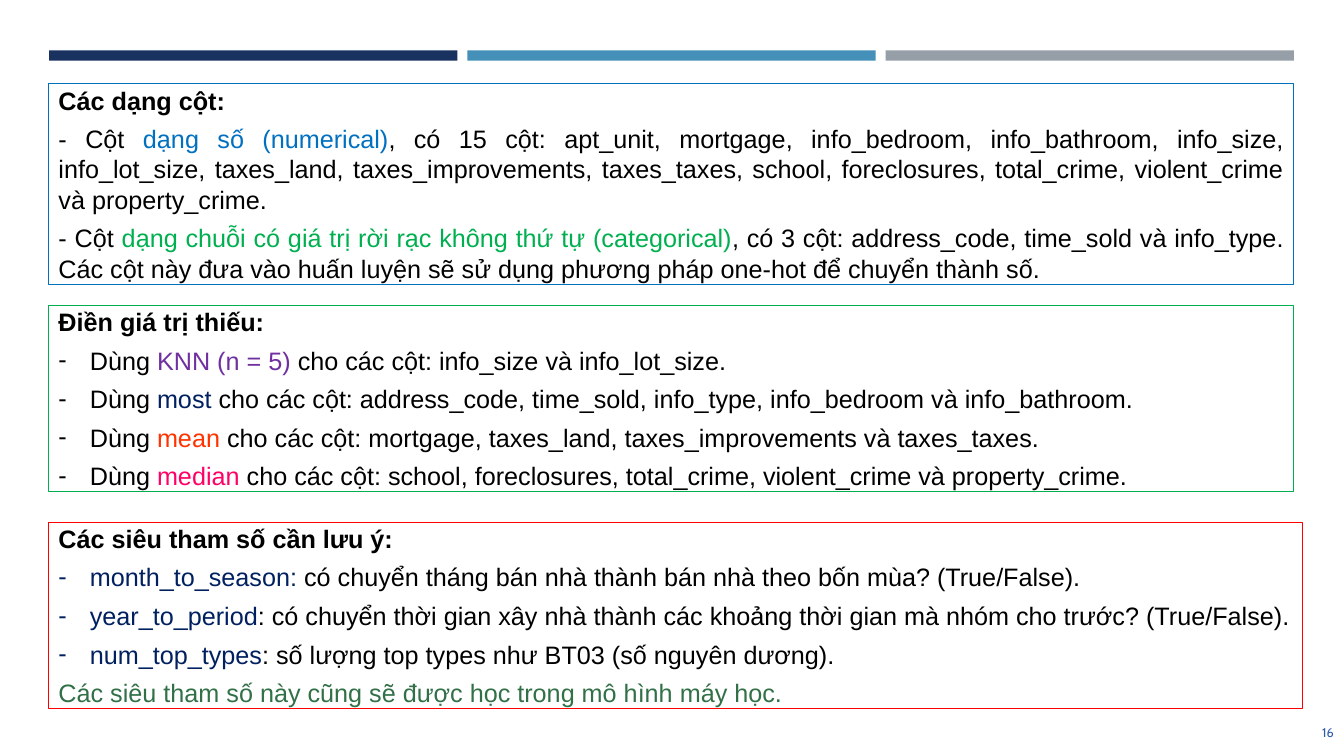
"""Build the slide on column types, missing values and hyperparameters."""
from lxml.etree import SubElement
from pptx import Presentation
from pptx.dml.color import RGBColor
from pptx.enum.shapes import MSO_SHAPE as SHAPE
from pptx.enum.text import MSO_ANCHOR as ANCHOR, MSO_AUTO_SIZE as AUTO, PP_ALIGN as ALIGN
from pptx.oxml.ns import qn
from pptx.util import Cm, Pt

BLACK = RGBColor(0x00, 0x00, 0x00)
DARK_NAVY = RGBColor(0x1A, 0x32, 0x60)
STEEL = RGBColor(0x45, 0x90, 0xB8)
GREY = RGBColor(0x96, 0x9F, 0xA7)
BLUE = RGBColor(0x00, 0x70, 0xC0)
GREEN = RGBColor(0x00, 0xB0, 0x50)
RED = RGBColor(0xFF, 0x00, 0x00)
PURPLE = RGBColor(0x70, 0x30, 0xA0)
NAVY = RGBColor(0x00, 0x20, 0x60)
ORANGE = RGBColor(0xFF, 0x33, 0x00)
PINK = RGBColor(0xFF, 0x00, 0x66)
FOREST = RGBColor(0x32, 0x70, 0x47)
NUMBER_BLUE = RGBColor(0x2F, 0x5A, 0xAC)


def add_run(p, text, *, color=BLACK, bold=False, size=18, font="Arial"):
    r = p.add_run()
    r.text = text
    r.font.name = font
    r.font.size = Pt(size)
    r.font.bold = bold
    r.font.color.rgb = color


def set_bullet(p, char=None):
    pPr = p._p.get_or_add_pPr()
    indent = Cm(0.79) if char else 0
    pPr.set("marL", str(indent))
    pPr.set("indent", str(-indent))
    if char:
        SubElement(pPr, qn("a:buFont"), typeface="Arial")
        SubElement(pPr, qn("a:buChar"), char=char)
    else:
        SubElement(pPr, qn("a:buNone"))


prs = Presentation()
prs.slide_width, prs.slide_height = Cm(33.87), Cm(19.05)
s = prs.slides.add_slide(prs.slide_layouts.get_by_name("Comparison"))

for i, color in enumerate((DARK_NAVY, STEEL, GREY)):
    bar = s.shapes.add_shape(SHAPE.RECTANGLE, Cm(1.24 + 10.54 * i), Cm(1.27), Cm(10.29), Cm(0.26))
    bar.shadow.inherit = False
    bar.fill.solid()
    bar.fill.fore_color.rgb = color
    bar.line.fill.background()

column_types = [
    (None, [("- Cột ", BLACK), ("dạng số (numerical)", BLUE),
            (", có 15 cột: apt_unit, mortgage, info_bedroom, info_bathroom, info_size, "
             "info_lot_size, taxes_land, taxes_improvements, taxes_taxes, school, foreclosures, "
             "total_crime, violent_crime và property_crime.", BLACK)]),
    (None, [("- Cột ", BLACK),
            ("dạng chuỗi có giá trị rời rạc không thứ tự (categorical)", GREEN),
            (", có 3 cột: address_code, time_sold và info_type. Các cột này đưa vào huấn luyện "
             "sẽ sử dụng phương pháp one-hot để chuyển thành số.", BLACK)]),
]
fill_methods = [
    ("KNN (n = 5)", PURPLE, "info_size và info_lot_size"),
    ("most", NAVY, "address_code, time_sold, info_type, info_bedroom và info_bathroom"),
    ("mean", ORANGE, "mortgage, taxes_land, taxes_improvements và taxes_taxes"),
    ("median", PINK, "school, foreclosures, total_crime, violent_crime và property_crime"),
]
missing_values = [
    ("-", [("Dùng ", BLACK), (f"{method} ", color), (f"cho các cột: {columns}.", BLACK)])
    for method, color, columns in fill_methods
]
hyperparameters = [
    ("-", [("month_to_season: ", NAVY),
           ("có chuyển tháng bán nhà thành bán nhà theo bốn mùa? (True/False).", BLACK)]),
    ("-", [("year_to_period", NAVY),
           (": có chuyển thời gian xây nhà thành các khoảng thời gian mà nhóm cho trước? "
            "(True/False).", BLACK)]),
    ("-", [("num_top_types", NAVY), (": số lượng top types như BT03 (số nguyên dương).", BLACK)]),
    (None, [("Các siêu tham số này cũng sẽ được học trong mô hình máy học.", FOREST)]),
]
boxes = [
    ("Các dạng cột:", column_types, BLUE, 1.98, 31.39, 5.31),
    ("Điền giá trị thiếu:", missing_values, GREEN, 7.57, 31.39, 4.95),
    ("Các siêu tham số cần lưu ý:", hyperparameters, RED, 13.03, 31.6, 4.95),
]

title, *bodies, spare = s.placeholders
for unused in (title, spare):
    unused.element.getparent().remove(unused.element)

for sp, (heading, items, color, top, width, height) in zip(bodies, boxes):
    sp.left, sp.top, sp.width, sp.height = Cm(1.22), Cm(top), Cm(width), Cm(height)
    sp.line.color.rgb = color
    sp.line.width = Pt(0.75)
    tf = sp.text_frame
    tf.word_wrap = True
    tf.auto_size = AUTO.SHAPE_TO_FIT_TEXT
    tf.vertical_anchor = ANCHOR.MIDDLE
    p = tf.paragraphs[0]
    add_run(p, heading, bold=True)
    set_bullet(p)
    for char, runs in items:
        p = tf.add_paragraph()
        set_bullet(p, char)
        for text, run_color in runs:
            add_run(p, text, color=run_color)
    for p in tf.paragraphs:
        p.alignment = ALIGN.JUSTIFY
        p.space_before, p.space_after = Pt(0), Pt(6)

tf = s.shapes.add_textbox(Cm(30.94), Cm(17.96), Cm(2.92), Cm(1.02)).text_frame
tf.word_wrap = True
tf.vertical_anchor = ANCHOR.MIDDLE
p = tf.paragraphs[0]
p.alignment = ALIGN.RIGHT
add_run(p, "16", color=NUMBER_BLUE, size=9, font="Cabin")

prs.save("out.pptx")
